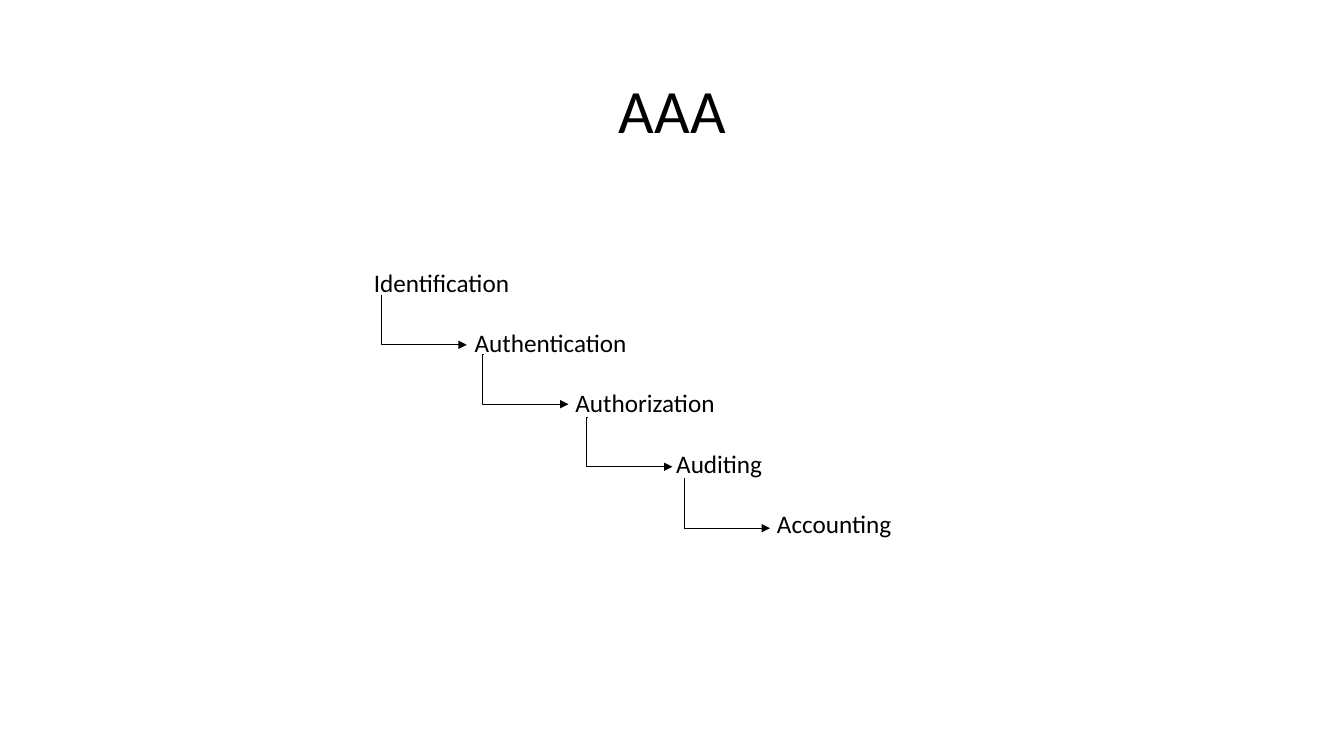
from lxml.etree import SubElement
from pptx import Presentation
from pptx.dml.color import RGBColor
from pptx.enum.shapes import MSO_CONNECTOR
from pptx.enum.text import MSO_ANCHOR, PP_ALIGN
from pptx.oxml.ns import qn
from pptx.util import Pt

# Content
TITLE = "AAA"
STEPS = ["Identification", "Authentication", "Authorization", "Auditing", "Accounting"]
STARTS = [(272.9, 211), (345.6, 253.4), (419.8, 298.1), (489.6, 342)]

# Format
BLACK = RGBColor(0, 0, 0)
FONT = {"name": "Calibri"}
TITLE_BOX = (66.24, 28.8, 828, 104.4)
STEP_BOX = (259.9, 187.2, 388.1, 203.8)
INDENT = 72
RUN, DROP = 60.5, 35.3
BEND = -1200


def set_all(target, values):
    for name, value in values.items():
        setattr(target, name, value)


def add_text(box, lines, size, frame, para):
    text = slide.shapes.add_textbox(*map(Pt, box)).text_frame
    set_all(text, {"word_wrap": True, **frame})
    for i, line in enumerate(lines):
        item = text.paragraphs[0] if i == 0 else text.add_paragraph()
        set_all(item, para)
        item.space_before = Pt(21.5 if i else 0)
        item._p.get_or_add_pPr().set("marL", str(Pt(INDENT * i)))
        run = item.add_run()
        run.text = line
        set_all(run.font, {**FONT, "size": Pt(size)})
        run.font.color.rgb = BLACK


def add_arrow(x, y):
    arrow = slide.shapes.add_connector(
        MSO_CONNECTOR.ELBOW, Pt(x), Pt(y), Pt(x + RUN), Pt(y + DROP))
    arrow.line.color.rgb = BLACK
    arrow.line.width = Pt(0.5)
    props = arrow._element.spPr
    # Bend at the left edge: down first, then right
    guides = props.find(qn("a:prstGeom")).find(qn("a:avLst"))
    SubElement(guides, qn("a:gd"), name="adj1", fmla=f"val {BEND}")
    SubElement(props.find(qn("a:ln")), qn("a:tailEnd"), type="triangle")
    SubElement(props, qn("a:effectLst"))


# Slide
deck = Presentation()
set_all(deck, {"slide_width": Pt(960), "slide_height": Pt(540)})
slide = deck.slides.add_slide(deck.slide_layouts[6])

# Title and steps
add_text(TITLE_BOX, [TITLE], 44, {"vertical_anchor": MSO_ANCHOR.MIDDLE},
         {"alignment": PP_ALIGN.CENTER, "line_spacing": 0.9})
add_text(STEP_BOX, STEPS, 18, {"vertical_anchor": MSO_ANCHOR.TOP},
         {"alignment": PP_ALIGN.LEFT})

# Arrows between steps
for start in STARTS:
    add_arrow(*start)

deck.save("out.pptx")
